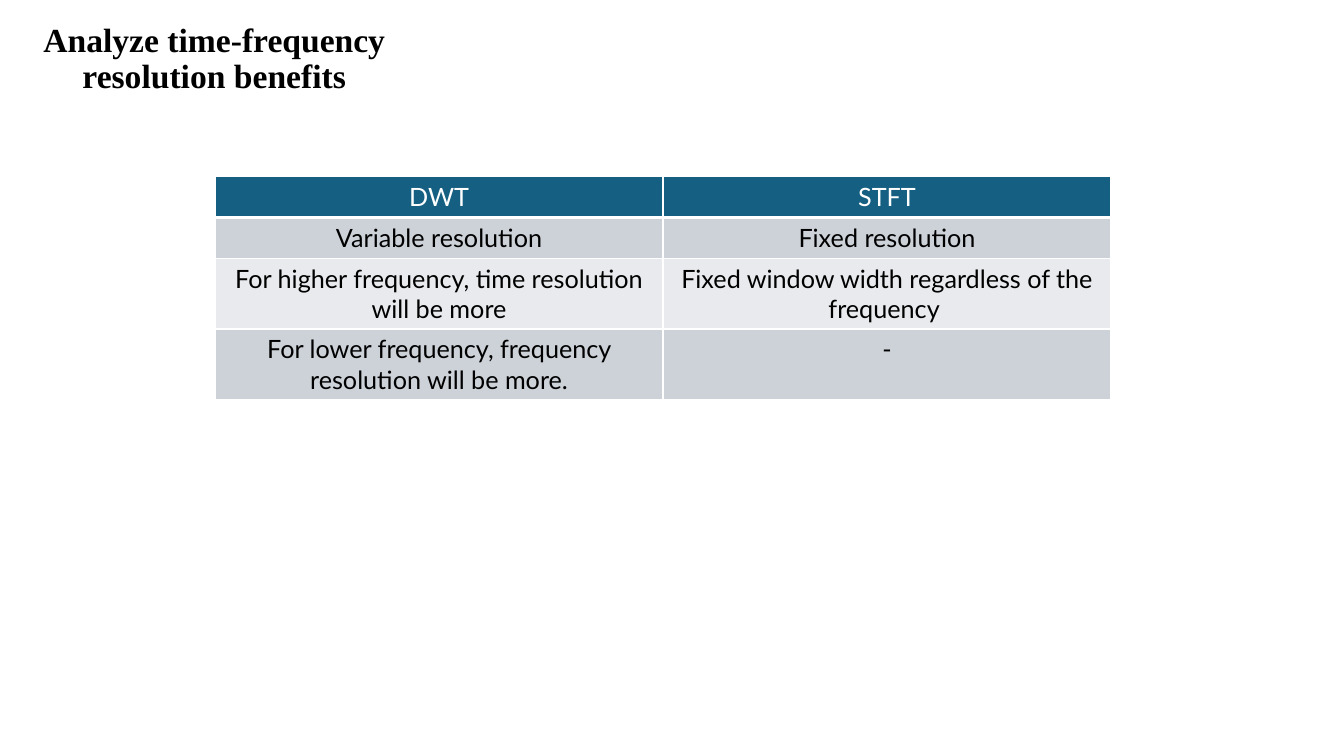
from dataclasses import dataclass
from pptx import Presentation
from pptx.dml.color import RGBColor as Rgb
from pptx.enum.text import MSO_ANCHOR as Anchor, PP_ALIGN as Align
from pptx.oxml import parse_xml
from pptx.oxml.ns import nsdecls
from pptx.util import Cm, Pt


@dataclass(frozen=True)
class Theme:
    """Hold the colours, fonts and type sizes."""
    ink: str = "000000"
    paper: str = "FFFFFF"
    head: str = "156082"
    bands: tuple = ("CCD2D8", "E8EAED")
    title_font: str = "Times New Roman"
    body_font: str = "Lato"
    title_size: int = 24
    body_size: int = 18


THEME = Theme()
TITLE = "Analyze time-frequency resolution benefits"
ROWS = (
    ("DWT", "STFT"),
    ("Variable resolution", "Fixed resolution"),
    ("For higher frequency, time resolution will be more",
     "Fixed window width regardless of the frequency "),
    ("For lower frequency, frequency resolution will be more.", "-"),
)


def write(frame, text, font, size, color, bold=False):
    """Put one centred run into a text frame."""
    para = frame.paragraphs[0]
    para.alignment = Align.CENTER
    run = para.add_run()
    run.text = text
    run.font.name = font
    run.font.size = Pt(size)
    run.font.bold = bold
    run.font.color.rgb = Rgb.from_string(color)
    return para


def add_title(slide, box):
    """Place the heading in its box."""
    frame = slide.shapes.add_textbox(*box).text_frame
    frame.word_wrap = True
    frame.vertical_anchor = Anchor.MIDDLE
    para = write(frame, TITLE, THEME.title_font, THEME.title_size, THEME.ink, True)
    para.line_spacing = 0.9


def add_edges(cell, base):
    """Rule the four sides of a cell, with its own weight below."""
    props = cell._tc.get_or_add_tcPr()
    for side, width in zip("LRTB", (1, 1, 1, base)):
        props.append(parse_xml(
            f'<a:ln{side} {nsdecls("a")} w="{Pt(width)}"><a:solidFill>'
            f'<a:srgbClr val="{THEME.paper}"/></a:solidFill></a:ln{side}>'))


def add_grid(slide, box):
    """Place the comparison table in its box."""
    table = slide.shapes.add_table(len(ROWS), len(ROWS[0]), *box).table
    for y, row in enumerate(ROWS):
        top = y == 0
        fill = THEME.head if top else THEME.bands[(y - 1) % 2]
        color = THEME.paper if top else THEME.ink
        for x, text in enumerate(row):
            cell = table.cell(y, x)
            add_edges(cell, 3 if top else 1)
            cell.fill.solid()
            cell.fill.fore_color.rgb = Rgb.from_string(fill)
            write(cell.text_frame, text, THEME.body_font, THEME.body_size, color)


def main():
    """Build the slide and save it."""
    deck = Presentation()
    deck.slide_width, deck.slide_height = Cm(33.87), Cm(19.05)
    slide = deck.slides.add_slide(deck.slide_layouts[6])
    add_title(slide, (Cm(0.7), Cm(0.4), Cm(9.4), Cm(2.2)))
    add_grid(slide, (Cm(5.42), Cm(4.45), Cm(22.58), Cm(4.12)))
    deck.save("out.pptx")


if __name__ == "__main__":
    main()
